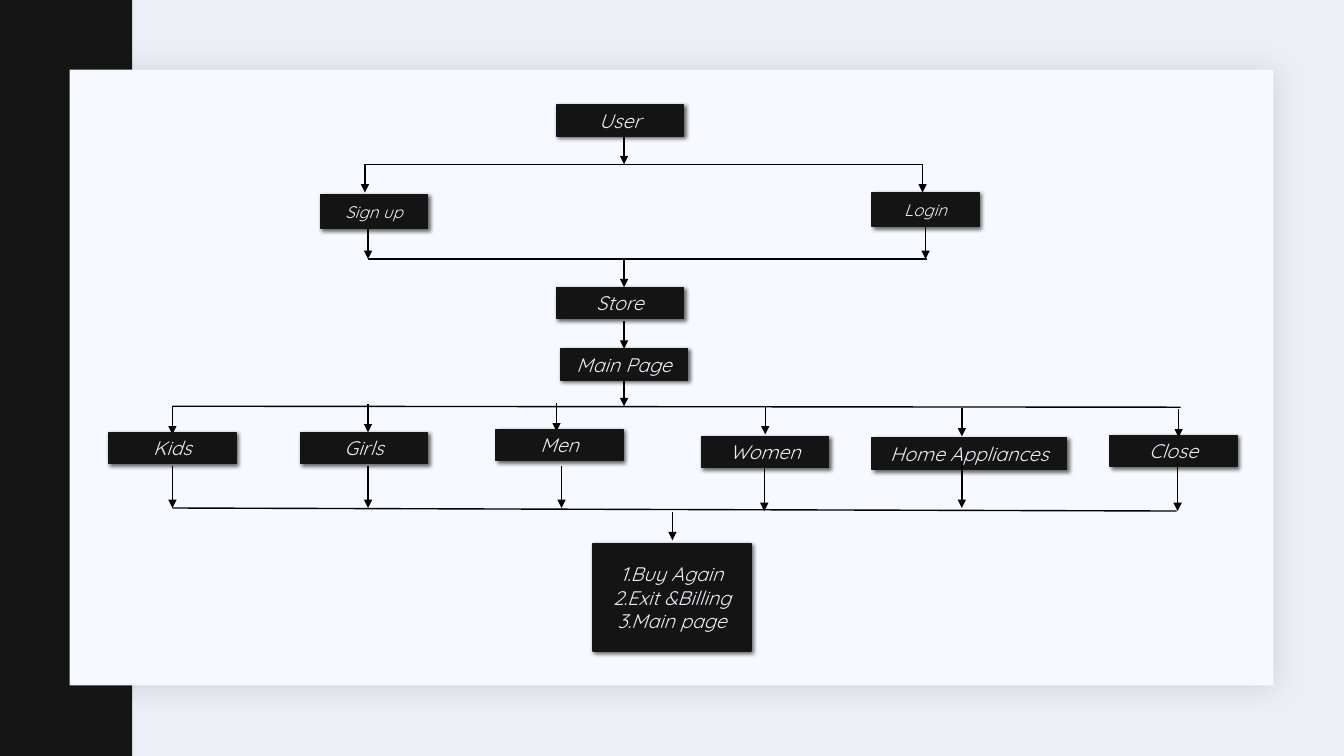
from pptx import Presentation as Deck
from pptx.dml.color import RGBColor as Color
from pptx.enum.shapes import MSO_CONNECTOR as Wire, MSO_SHAPE as Shape
from pptx.enum.text import MSO_ANCHOR as Anchor, PP_ALIGN as Align
from pptx.oxml.ns import qn
from pptx.util import Pt
from lxml.etree import SubElement as Sub

PX = 9144
FONT = "Quicksand"
HUES = {"back": "EDEFF7", "band": "141514", "card": "F6F9FF", "haze": "1F2125",
        "node": "131413", "edge": "141514", "text": "ECEEF7", "line": "000000"}
NODE = (126, 31)
GATE = (106, 34)


def hue(name):
    """Return a colour by name."""
    return Color.from_string(HUES[name])


def shade(item, name, alpha, blur):
    """Give a shape a soft shadow to its lower right."""
    item.shadow.inherit = False
    glow = Sub(item._element.spPr.find(qn("a:effectLst")), qn("a:outerShdw"),
               blurRad=str(Pt(blur)), dist=str(Pt(2)), dir="2700000",
               algn="tl", rotWithShape="0")
    tint = Sub(glow, qn("a:srgbClr"), val=HUES[name])
    Sub(tint, qn("a:alpha"), val=str(alpha * 1000))


def panel(slide, box, fill):
    """Draw a plain rectangle."""
    item = slide.shapes.add_shape(Shape.RECTANGLE, *(n * PX for n in box))
    item.shadow.inherit = False
    item.fill.solid()
    item.fill.fore_color.rgb = hue(fill)
    item.line.fill.background()
    return item


def node(slide, box, spot, size, lines, points=14):
    """Draw a dark labelled box at a spot within a region."""
    item = panel(slide, (box[0] + spot[0], box[1] + spot[1], *size), "node")
    item.line.color.rgb = hue("edge")
    item.line.width = Pt(1)
    shade(item, "line", 60, 3)
    frame = item.text_frame
    frame.word_wrap = True
    frame.vertical_anchor = Anchor.MIDDLE
    for i, line in enumerate(lines):
        para = frame.add_paragraph() if i else frame.paragraphs[0]
        para.alignment = Align.CENTER
        run = para.add_run()
        run.text = line
        run.font.name = FONT
        run.font.size = Pt(points)
        run.font.italic = True
        run.font.color.rgb = hue("text")


def link(slide, box, x, y, right, low):
    """Draw a line between two points of a region."""
    left, top = box[:2]
    item = slide.shapes.add_connector(
        Wire.STRAIGHT, (left + x) * PX, (top + y) * PX,
        (left + right) * PX, (top + low) * PX)
    item.line.color.rgb = hue("line")
    item.line.width = Pt(1)
    Sub(item._element.spPr, qn("a:effectLst"))
    return item


def arrow(slide, box, x, y, low):
    """Draw an arrow straight down."""
    item = link(slide, box, x, y, x, low)
    Sub(item.line._get_or_add_ln(), qn("a:tailEnd"), type="triangle")


def stage(slide, box):
    """Paint the backdrop, the side band and the card."""
    left, top, wide, high = box
    slide.background.fill.solid()
    slide.background.fill.fore_color.rgb = hue("back")
    panel(slide, (left, top, 131, high), "band")
    card = panel(slide, (left + 69, top + 69, wide - 139, high - 139), "card")
    shade(card, "haze", 15, 20)


def entry(slide, box):
    """Split the user into sign up and login, then merge."""
    high = box[3]
    node(slide, box, (234, 0), NODE, ["User"])
    arrow(slide, box, 301, 31, 59)
    link(slide, box, 43, 59, 597, 59)
    for name, x, y, enter, leave in (("Sign up", 0, 89, 44, 47),
                                     ("Login", 547, 87, 597, 600)):
        arrow(slide, box, enter, 59, 87)
        node(slide, box, (x, y), GATE, [name], 12)
        arrow(slide, box, leave, y + GATE[1], high)
    link(slide, box, 47, high, 601, high)


def store(slide, box):
    """Stack the store over the main page."""
    for name, x, y in (("Store", 0, 28), ("Main Page", 4, 89)):
        arrow(slide, box, 67, y - 28, y)
        node(slide, box, (x, y), NODE, [name])
    arrow(slide, box, 67, 118, box[3])


def aisles(slide, box):
    """Fan out to the sections between two rails."""
    link(slide, box, 63, 3, 1063, 4)
    link(slide, box, 63, 104, 1059, 107)
    for name, x, y, size, enter, start, leave, base, end in (
            ("Kids", 0, 29, NODE, 63, 3, 63, 62, 104),
            ("Girls", 190, 29, NODE, 257, 1, 257, 62, 104),
            ("Men", 384, 26, NODE, 444, 0, 449, 62, 104),
            ("Women", 588, 33, NODE, 651, 3, 650, 62, 107),
            ("Home Appliances", 757, 34, (193, 32), 846, 5, 846, 57, 104),
            ("Close", 993, 32, NODE, 1061, 6, 1060, 59, 107)):
        arrow(slide, box, enter, start, start + 28)
        node(slide, box, (x, y), size, [name])
        arrow(slide, box, leave, base, end)


def finish(slide, box):
    """List the closing choices."""
    wide, high = box[2:]
    arrow(slide, box, 79, 0, 28)
    node(slide, box, (0, 31), (wide, high - 31),
         ["1.Buy Again", "2.Exit &Billing", "3.Main page"])


def main():
    """Build and save the deck."""
    deck = Deck()
    deck.slide_width, deck.slide_height = 1333 * PX, 750 * PX
    slide = deck.slides.add_slide(deck.slide_layouts[6])
    stage(slide, (0, 0, 1333, 750))
    entry(slide, (318, 104, 653, 153))
    store(slide, (552, 257, 130, 146))
    aisles(slide, (108, 400, 1119, 107))
    finish(slide, (588, 508, 157, 138))
    deck.save("out.pptx")


if __name__ == "__main__":
    main()
